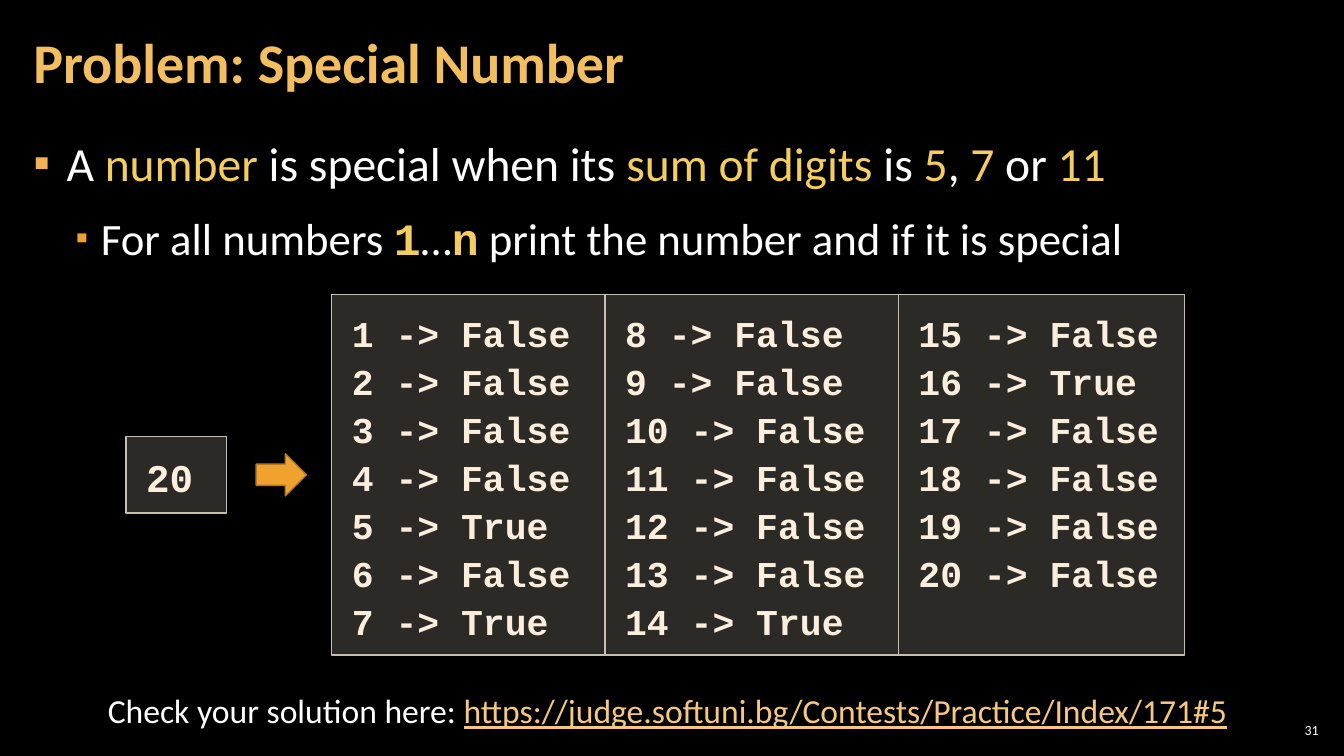
from lxml import etree
from pptx import Presentation
from pptx.dml.color import RGBColor
from pptx.enum.shapes import MSO_SHAPE
from pptx.enum.text import MSO_ANCHOR, MSO_AUTO_SIZE, PP_ALIGN
from pptx.oxml.ns import qn
from pptx.util import Inches, Pt

RECT, ARROW = MSO_SHAPE.RECTANGLE, MSO_SHAPE.RIGHT_ARROW
TOP, MIDDLE = MSO_ANCHOR.TOP, MSO_ANCHOR.MIDDLE
LEFT, CENTER, RIGHT = PP_ALIGN.LEFT, PP_ALIGN.CENTER, PP_ALIGN.RIGHT
FIXED = MSO_AUTO_SIZE.NONE
SANS, MONO = "Calibri", "Courier New"

COLORS = {
    "back": "000000", "text": "FFFFFF", "title": "F3BE60", "key": "F3CD60",
    "link": "F6C781", "code": "FBEEDC", "panel": "D9D5C7", "edge": "C7BFAC",
    "arrow": "F0A22E", "rim": "B27822", "dot": "F2B254", "subdot": "F0A22E",
}

TITLE = "Problem: Special Number"
BULLETS = [
    dict(size=34, indent=0.33, hang=0.33, dot="dot", scale=100, before=0, runs=[
        ("A ", ""), ("number ", "key"), ("is special when its ", ""),
        ("sum of digits ", "key"), ("is ", ""), ("5", "key"), (", ", ""),
        ("7", "key"), (" or ", ""), ("11", "key")]),
    dict(size=32, indent=0.67, hang=0.25, dot="subdot", scale=80, before=6, runs=[
        ("For all numbers ", ""), ("1", "mono"), ("…", ""), ("n", "mono"),
        (" print the number and if it is special", "")]),
]
INPUT = ["20"]
COLUMNS = [
    (2.71, ["1 -> False", "2 -> False", "3 -> False", "4 -> False",
            "5 -> True", "6 -> False", "7 -> True"]),
    (2.91, ["8 -> False", "9 -> False", "10 -> False", "11 -> False",
            "12 -> False", "13 -> False", "14 -> True"]),
    (2.84, ["15 -> False", "16 -> True", "17 -> False", "18 -> False",
            "19 -> False", "20 -> False"]),
]
CHECK = "Check your solution here: "
LINK = "https://judge.softuni.bg/Contests/Practice/Index/171#5"
NUMBER = "31"


def rgb(name):
    return RGBColor.from_string(COLORS[name])


def style(font, size, color, name=SANS, bold=False):
    font.size, font.name, font.bold = Pt(size), name, bold
    font.color.rgb = rgb(color)


def place(shape, left, top, width, height):
    shape.left, shape.top = Inches(left), Inches(top)
    shape.width, shape.height = Inches(width), Inches(height)


def setup(frame, across, down, anchor=TOP):
    frame.word_wrap, frame.auto_size = True, FIXED
    frame.vertical_anchor = anchor
    frame.margin_left = frame.margin_right = Inches(across)
    frame.margin_top = frame.margin_bottom = Inches(down)


def bullet(para, item):
    props = para._p.get_or_add_pPr()
    props.set("marL", str(Inches(item["indent"])))
    props.set("indent", str(-Inches(item["hang"])))
    color = etree.SubElement(props, qn("a:buClr"))
    etree.SubElement(color, qn("a:srgbClr")).set("val", COLORS[item["dot"]])
    size = etree.SubElement(props, qn("a:buSzPct"))
    size.set("val", str(item["scale"] * 1000))
    etree.SubElement(props, qn("a:buChar")).set("char", "▪")


def draw(kind, box, fill, edge):
    shape = slide.shapes.add_shape(kind, *map(Inches, box))
    shape.shadow.inherit = False
    shape.fill.solid()
    shape.fill.fore_color.rgb = rgb(fill)
    shape.line.color.rgb = rgb(edge)
    shape.line.width = Pt(1)
    return shape


def panel(box, lines, size):
    shape = draw(RECT, box, "panel", "edge")
    color = shape.fill._xPr.find(qn("a:solidFill"))[0]
    etree.SubElement(color, qn("a:alpha")).set("val", "20000")
    frame = shape.text_frame
    setup(frame, 0.2, 0.12)
    for i, line in enumerate(lines):
        para = frame.add_paragraph() if i else frame.paragraphs[0]
        para.text = line
        para.alignment, para.line_spacing = LEFT, 1.1
        style(para.font, size, "code", MONO, True)


def label(box, align, across, down, anchor=TOP):
    frame = slide.shapes.add_textbox(*map(Inches, box)).text_frame
    setup(frame, across, down, anchor)
    para = frame.paragraphs[0]
    para.alignment = align
    return para


deck = Presentation()
deck.slide_width, deck.slide_height = Inches(13.33), Inches(7.5)
slide = deck.slides.add_slide(deck.slide_layouts[1])
slide.background.fill.solid()
slide.background.fill.fore_color.rgb = rgb("back")

title, body = slide.placeholders
place(title, 0.21, 0.04, 10.47, 1.21)
setup(title.text_frame, 0.12, 0.04, MIDDLE)
head = title.text_frame.paragraphs[0]
head.text = TITLE
head.alignment, head.line_spacing = LEFT, 0.9
style(head.font, 40, "title", bold=True)

place(body, 0.21, 1.26, 12.91, 6.09)
setup(body.text_frame, 0.12, 0.04)
for level, item in enumerate(BULLETS):
    frame = body.text_frame
    para = frame.add_paragraph() if level else frame.paragraphs[0]
    para.level = level
    bullet(para, item)
    para.line_spacing = 1.05
    para.space_before, para.space_after = Pt(item["before"]), Pt(6)
    for text, kind in item["runs"]:
        run = para.add_run()
        run.text = text
        mono = kind == "mono"
        style(run.font, item["size"], "key" if kind else "text",
              MONO if mono else SANS, mono)

panel((1.25, 4.33, 1, 0.76), INPUT, 28)
draw(ARROW, (2.54, 4.5, 0.5, 0.42), "arrow", "rim")
left = 3.29
for width, lines in COLUMNS:
    panel((left, 2.92, width, 3.58), lines, 26)
    left += width

check = label((0.83, 6.8, 11.58, 0.5), CENTER, 0.1, 0.05)
for text, color in ((CHECK, "text"), (LINK, "link")):
    run = check.add_run()
    run.text = text
    style(run.font, 24, color)
    run.font.underline = color == "link"

page = label((12.65, 7.14, 0.47, 0.21), RIGHT, 0.04, 0.04, MIDDLE)
page.text = NUMBER
style(page.font, 10, "text")

deck.save("out.pptx")
